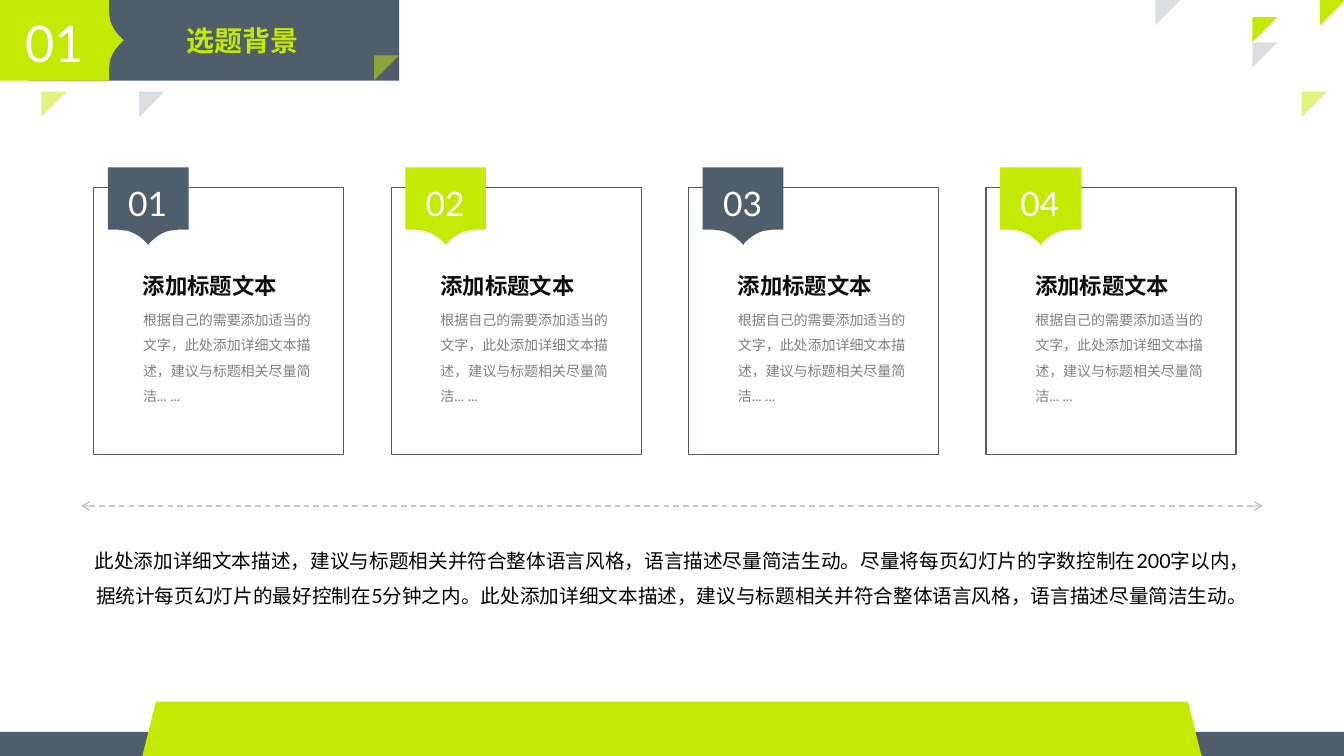
import lxml.etree
import pptx
import pptx.dml.color
import pptx.enum.dml
import pptx.enum.shapes
import pptx.enum.text
import pptx.oxml
import pptx.oxml.ns
import pptx.util

Inches = pptx.util.Inches
RGBColor = pptx.dml.color.RGBColor
SHAPES = pptx.enum.shapes.MSO_SHAPE
ALIGN = pptx.enum.text.PP_ALIGN
qn = pptx.oxml.ns.qn

LIME = RGBColor(0xC4, 0xE9, 0x02)
SLATE = RGBColor(0x4E, 0x5E, 0x6B)
WHITE = RGBColor(0xFF, 0xFF, 0xFF)
BLACK = RGBColor(0, 0, 0)
NEAR_BLACK = RGBColor(0x0D, 0x0D, 0x0D)
GRAY = RGBColor(0x80, 0x80, 0x80)
LIGHT_GRAY = RGBColor(0xC8, 0xC8, 0xC8)


def paint(shape, color, opacity=100):
    """Fill a shape with one colour, without line or shadow."""
    shape.shadow.inherit = False
    shape.line.fill.background()
    shape.fill.solid()
    shape.fill.fore_color.rgb = color
    if opacity < 100:
        tint = shape.element.spPr.find(qn("a:solidFill"))[0]
        lxml.etree.SubElement(tint, qn("a:alpha"), val=str(opacity * 1000))


def write(box, text, size, color, align=ALIGN.LEFT, bold=False, spacing=1, wrap=True):
    """Put one formatted paragraph into a box."""
    frame = box.text_frame
    frame.text = text
    frame.word_wrap = wrap
    frame.auto_size = pptx.enum.text.MSO_AUTO_SIZE.SHAPE_TO_FIT_TEXT
    frame.vertical_anchor = pptx.enum.text.MSO_ANCHOR.TOP
    para = frame.paragraphs[0]
    para.alignment = align
    para.line_spacing = float(spacing)
    para.font.name = "Lato"
    para.font.size = pptx.util.Pt(size)
    para.font.bold = bold
    para.font.color.rgb = color


deck = pptx.Presentation()
deck.slide_width = Inches(13.33)
deck.slide_height = Inches(7.5)
page = deck.slides.add_slide(deck.slide_layouts[5])
shapes = page.shapes

# Header and footer bars
bars = [
    (SHAPES.RECTANGLE, 0, 7.26, 13.33, 0.24, SLATE),
    (SHAPES.TRAPEZOID, 1.38, 6.96, 10.57, 0.67, LIME),
    (SHAPES.RECTANGLE, 0.29, 0, 3.67, 0.8, SLATE),
]
for kind, left, top, width, height, color in bars:
    bar = shapes.add_shape(kind, Inches(left), Inches(top), Inches(width), Inches(height))
    paint(bar, color)

# Scattered corner triangles
triangles = [
    (13.09, 0, LIME, 100),
    (12.42, 0.42, SLATE, 20),
    (12.91, 0.91, LIME, 50),
    (12.42, 0.17, LIME, 100),
    (11.46, 0, SLATE, 20),
    (0.41, 0.91, LIME, 50),
    (1.38, 0.91, SLATE, 20),
    (3.71, 0.55, LIME, 50),
]
for left, top, color, opacity in triangles:
    triangle = shapes.add_shape(
        SHAPES.RIGHT_TRIANGLE, Inches(left), Inches(top), Inches(0.25), Inches(0.25))
    triangle.rotation = 90
    paint(triangle, color, opacity)

# Card frames
card_lefts = [0.93 + 2.95 * index for index in range(4)]
for left in card_lefts:
    card = shapes.add_shape(
        SHAPES.RECTANGLE, Inches(left), Inches(1.86), Inches(2.48), Inches(2.65))
    paint(card, WHITE)
    card.line.color.rgb = SLATE
    card.line.width = pptx.util.Pt(1)

# Ribbon outline: half of its pointed end as (across, depth), then mirrored
curve = [(0.19, 0.01), (0.29, 0.03), (0.38, 0.12), (0.4, 0.15)]
half_end = [(0, 0), (0.11, 0)]
for step in range(11):
    t = step / 10
    weights = [(1 - t) ** 3, 3 * t * (1 - t) ** 2, 3 * t ** 2 * (1 - t), t ** 3]
    half_end.append(tuple(
        sum(weight * point[axis] for weight, point in zip(weights, curve))
        for axis in (0, 1)))
pointed_end = half_end + [(0.8 - across, depth) for across, depth in half_end[-2::-1]]

# Header ribbon points right, card ribbons point down
ribbons = [(0, 0, 1.08, True, LIME)]
for index, left in enumerate(card_lefts):
    ribbons.append((left + 0.14, 1.66, 0.62, False, LIME if index % 2 else SLATE))
for left, top, length, sideways, color in ribbons:
    outline = [(0, 0)] + [(across, length + depth) for across, depth in pointed_end] + [(0.8, 0)]
    if sideways:
        outline = [(along, across) for across, along in outline]
    corners = [(Inches(left + x), Inches(top + y)) for x, y in outline]
    builder = shapes.build_freeform(*corners[0])
    builder.add_line_segments(corners[1:], close=True)
    paint(builder.convert_to_shape(), color)

# Section number and title
section = shapes.add_textbox(Inches(0.15), Inches(0.07), Inches(0.78), Inches(0.71))
write(section, "01", 36, WHITE, ALIGN.CENTER, wrap=False)
title = shapes.title
title.left, title.top = Inches(1.75), Inches(0.18)
title.width, title.height = Inches(1.76), Inches(0.44)
write(title, "选题背景", 20, LIME, bold=True)
section.element.addnext(title.element)  # bring the title in front of the header

# Card texts
for index, left in enumerate(card_lefts):
    number = shapes.add_textbox(Inches(left + 0.22), Inches(1.77), Inches(0.63), Inches(0.5))
    write(number, f"{index + 1:02}", 24, WHITE, ALIGN.CENTER, wrap=False)
    detail = shapes.add_textbox(Inches(left + 0.39), Inches(2.96), Inches(1.91), Inches(1.09))
    write(detail, "根据自己的需要添加适当的文字，此处添加详细文本描述，建议与标题相关尽量简洁... ...",
          10, GRAY, spacing=1.5)
    heading = shapes.add_textbox(Inches(left + 0.39), Inches(2.65), Inches(1.63), Inches(0.37))
    write(heading, "添加标题文本", 16, NEAR_BLACK, bold=True)

# Summary below the cards
summary = shapes.add_textbox(Inches(0.8), Inches(5.28), Inches(11.73), Inches(0.77))
write(summary,
      "此处添加详细文本描述，建议与标题相关并符合整体语言风格，语言描述尽量简洁生动。"
      "尽量将每页幻灯片的字数控制在200字以内，据统计每页幻灯片的最好控制在5分钟之内。"
      "此处添加详细文本描述，建议与标题相关并符合整体语言风格，语言描述尽量简洁生动。",
      14, BLACK, ALIGN.CENTER, spacing=1.5)

# Dashed double arrow
arrow = shapes.add_connector(
    pptx.enum.shapes.MSO_CONNECTOR.STRAIGHT,
    Inches(0.8), Inches(5.02), Inches(12.53), Inches(5.02))
arrow.line.color.rgb = LIGHT_GRAY
arrow.line.width = pptx.util.Pt(1)
arrow.line.dash_style = pptx.enum.dml.MSO_LINE.DASH
properties = arrow.element.spPr
for end in ("a:headEnd", "a:tailEnd"):
    lxml.etree.SubElement(properties.find(qn("a:ln")), qn(end), type="arrow")
lxml.etree.SubElement(properties, qn("a:effectLst"))

deck.save("out.pptx")
